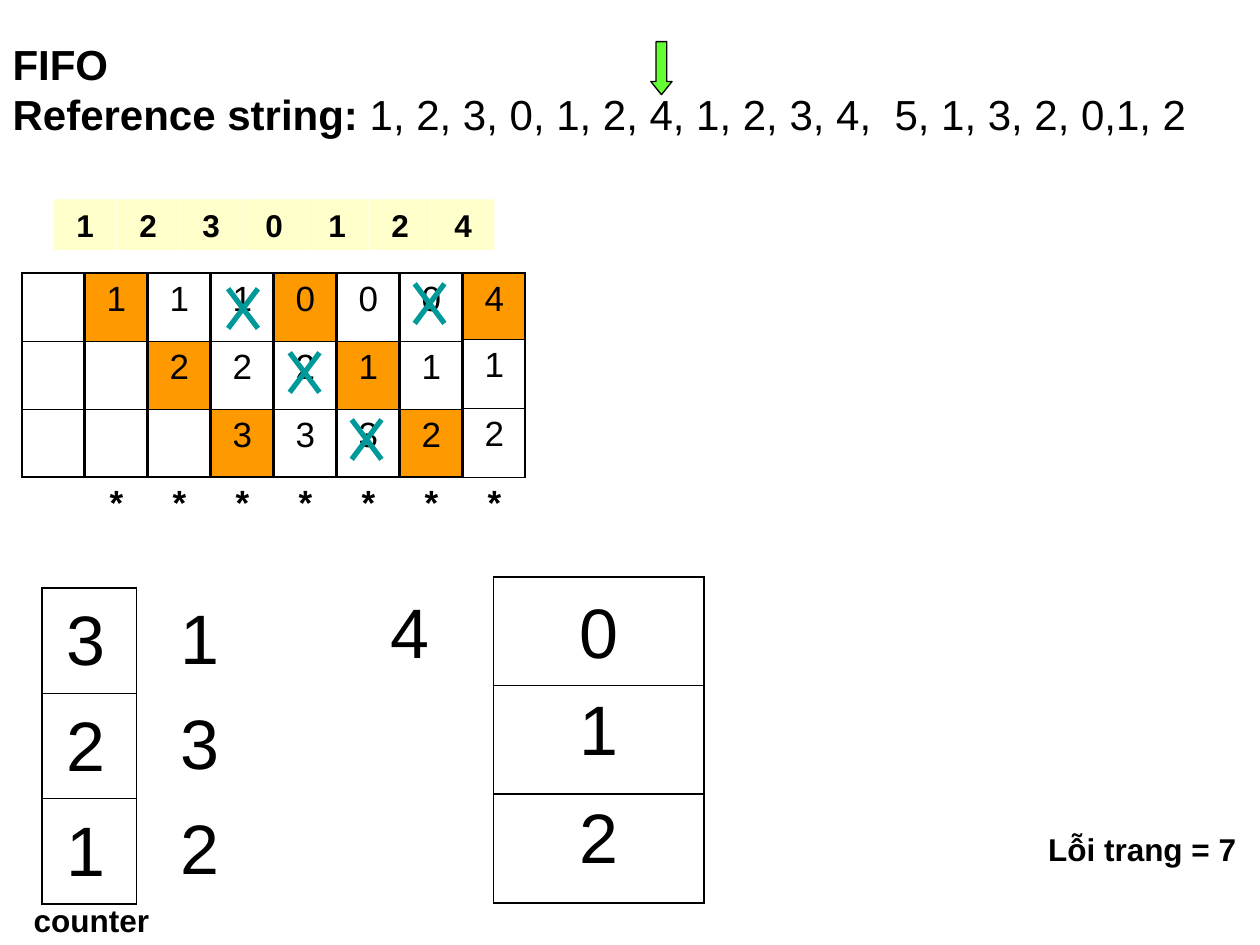
import pptx
import pptx.util
import pptx.dml.color
import pptx.enum.shapes
import pptx.enum.text
import lxml.etree
from pptx.oxml.ns import qn

Cm, Pt = pptx.util.Cm, pptx.util.Pt
RGBColor = pptx.dml.color.RGBColor
Align = pptx.enum.text.PP_ALIGN
AutoSize = pptx.enum.text.MSO_AUTO_SIZE
Shape = pptx.enum.shapes.MSO_SHAPE

BLACK = RGBColor(0x00, 0x00, 0x00)
ORANGE = RGBColor(0xFF, 0x99, 0x00)
CREAM = RGBColor(0xFF, 0xFF, 0xCC)
TEAL = RGBColor(0x00, 0x99, 0x99)
GREEN = RGBColor(0x66, 0xFF, 0x33)
FONT = "Arial"
NO_STYLE = "{2D5ABB26-0587-4C30-8999-92F81FD0307C}"
THICK, THIN = 1.08, 0.45

# Content
TITLE = "FIFO"
REFERENCE_LABEL = "Reference string:"
REFERENCES = " 1, 2, 3, 0, 1, 2, 4, 1, 2, 3, 4,  5, 1, 3, 2, 0,1, 2"
# Requested page, frame contents, and the frame that was just loaded
STEPS = [
    ("1", ["1", "", ""], 0),
    ("2", ["1", "2", ""], 1),
    ("3", ["1", "2", "3"], 2),
    ("0", ["0", "2", "3"], 0),
    ("1", ["0", "1", "3"], 1),
    ("2", ["0", "1", "2"], 2),
    ("4", ["4", "1", "2"], 0),
]
FAULT_MARK = "*"
CROSSES = [(4.6, 5.82), (7.09, 8.46), (5.84, 7.11), (8.36, 5.72)]
COUNTERS = ["3", "2", "1"]
COUNTED_PAGES = ["1", "3", "2"]
MEMORY = ["", "1", "2"]
LABELS = [("Lỗi trang = 7", 20.88, 16.61, 4.4), ("counter", 0.43, 18.03, 2.95)]
DIGITS = [("4", 7.62, 11.73), ("0", 11.43, 11.73)]

# Layout in centimetres
STEP_PITCH = 1.27
HEADER_LEFT, HEADER_TOP, HEADER_HEIGHT = 1.08, 4.02, 1.02
GRID_LEFT, GRID_TOP, GRID_WIDTH = 0.45, 5.51, 1.25
GRID_ROWS, LAST_GRID_ROWS = [1.37] * 4, [1.34, 1.39, 1.39, 1.39]
COUNTER_LEFT, COUNTER_TOP, COUNTER_WIDTH, COUNTER_ROW = 0.85, 11.86, 1.9, 2.12
PAGE_LEFT = 3.39
MEMORY_LEFT, MEMORY_TOP, MEMORY_WIDTH, MEMORY_ROW = 9.95, 11.63, 4.24, 2.19
CROSS_WIDTH, CROSS_HEIGHT = 0.6, 0.8


def format_text(paragraph, size, bold=False, align=Align.LEFT):
    paragraph.alignment = align
    for run in paragraph.runs:
        run.font.name = FONT
        run.font.size = Pt(size)
        run.font.bold = bold
        run.font.color.rgb = BLACK


def add_text(text, left, top, width, height, size, bold=False):
    box = slide.shapes.add_textbox(Cm(left), Cm(top), Cm(width), Cm(height))
    box.text_frame.word_wrap = False
    box.text_frame.auto_size = AutoSize.SHAPE_TO_FIT_TEXT
    box.text_frame.text = text
    format_text(box.text_frame.paragraphs[0], size, bold)


def set_borders(cell, widths):
    properties = cell._tc.get_or_add_tcPr()
    for position, side in enumerate("LRTB"):
        line = lxml.etree.Element(qn("a:ln" + side))
        if widths[side]:
            line.set("w", str(int(Pt(widths[side]))))
            fill = lxml.etree.SubElement(line, qn("a:solidFill"))
            lxml.etree.SubElement(fill, qn("a:srgbClr")).set("val", str(BLACK))
        else:
            lxml.etree.SubElement(line, qn("a:noFill"))
        properties.insert(position, line)


def add_column(texts, left, top, width, heights, size, inner, loaded=None, framed=3):
    """Add a one-column table whose first rows are framed."""
    frame = slide.shapes.add_table(len(texts), 1, Cm(left), Cm(top),
                                   Cm(width), Cm(sum(heights)))
    table = frame.table
    table.first_row = table.horz_banding = False
    table._tbl.tblPr.find(qn("a:tableStyleId")).text = NO_STYLE
    for index, (text, height) in enumerate(zip(texts, heights)):
        table.rows[index].height = Cm(height)
        cell = table.cell(index, 0)
        cell.text = text
        format_text(cell.text_frame.paragraphs[0], size, text == FAULT_MARK, Align.CENTER)
        if index == loaded:
            cell.fill.solid()
            cell.fill.fore_color.rgb = ORANGE
        else:
            cell.fill.background()
        side = THICK if index < framed else 0
        top_line = THICK if index in (0, framed) else inner
        bottom_line = inner if index < framed - 1 else THICK if index == framed - 1 else 0
        set_borders(cell, {"L": side, "R": side, "T": top_line, "B": bottom_line})


def add_shape(kind, left, top, width, height, color):
    shape = slide.shapes.add_shape(kind, Cm(left), Cm(top), Cm(width), Cm(height))
    shape.shadow.inherit = False
    shape.fill.solid()
    shape.fill.fore_color.rgb = color
    shape.line.fill.background()
    return shape


presentation = pptx.Presentation()
presentation.slide_width, presentation.slide_height = Cm(25.4), Cm(19.05)
slide = presentation.slides.add_slide(presentation.slide_layouts[5])

# Title with the reference string
title = slide.shapes.title
title.left, title.top, title.width, title.height = Cm(0), Cm(0.64), Cm(25.4), Cm(2.29)
title_frame = title.text_frame
title_frame.word_wrap = True
title_frame.auto_size = AutoSize.NONE
title_frame.vertical_anchor = pptx.enum.text.MSO_ANCHOR.TOP
title_frame.text = TITLE
reference_line = title_frame.add_paragraph()
reference_line.text = REFERENCE_LABEL
reference_line.add_run().text = REFERENCES
for paragraph in title_frame.paragraphs:
    format_text(paragraph, 24, True)
reference_line.runs[1].font.bold = False

# Requested pages and frame contents, step by step
add_column([""] * 4, GRID_LEFT, GRID_TOP, GRID_WIDTH, GRID_ROWS, 20, THIN)
for number, (page, frames, loaded) in enumerate(STEPS):
    header = add_shape(Shape.RECTANGLE, HEADER_LEFT + number * STEP_PITCH, HEADER_TOP,
                       STEP_PITCH, HEADER_HEIGHT, CREAM)
    header.text_frame.text = page
    format_text(header.text_frame.paragraphs[0], 18, True, Align.CENTER)
    heights = LAST_GRID_ROWS if number == len(STEPS) - 1 else GRID_ROWS
    add_column(frames + [FAULT_MARK], GRID_LEFT + (number + 1) * STEP_PITCH, GRID_TOP,
               GRID_WIDTH, heights, 20, THIN, loaded)

# Crosses over the replaced pages
for left, top in CROSSES:
    cross = slide.shapes.add_group_shape()
    right, bottom = left + CROSS_WIDTH, top + CROSS_HEIGHT
    for start, end in ((right, left), (left, right)):
        stroke = cross.shapes.add_connector(pptx.enum.shapes.MSO_CONNECTOR.STRAIGHT,
                                            Cm(start), Cm(top), Cm(end), Cm(bottom))
        stroke.line.color.rgb = TEAL
        stroke.line.width = Pt(3)
        lxml.etree.SubElement(stroke._element.spPr, qn("a:effectLst"))

# Arrow at the current reference
arrow = add_shape(Shape.DOWN_ARROW, 13.12, 0.84, 0.43, 1.07, GREEN)
arrow.adjustments[0], arrow.adjustments[1] = 0.5, 0.62
arrow.line.color.rgb = BLACK
arrow.line.width = Pt(0.74)

# Memory frames and counters
add_column(MEMORY, MEMORY_LEFT, MEMORY_TOP, MEMORY_WIDTH, [MEMORY_ROW] * 3, 40, THICK)
add_column([""] * 3, COUNTER_LEFT, COUNTER_TOP, COUNTER_WIDTH, [COUNTER_ROW] * 3, 18, THICK)
for row, (counter, page) in enumerate(zip(COUNTERS, COUNTED_PAGES)):
    top = COUNTER_TOP + row * COUNTER_ROW
    DIGITS += [(counter, 1.1, top + 0.03), (page, PAGE_LEFT, top)]
for text, left, top in DIGITS:
    add_text(text, left, top, 1.3, 1.96, 40)
for text, left, top, width in LABELS:
    add_text(text, left, top, width, 1.02, 18, True)

presentation.save("out.pptx")
